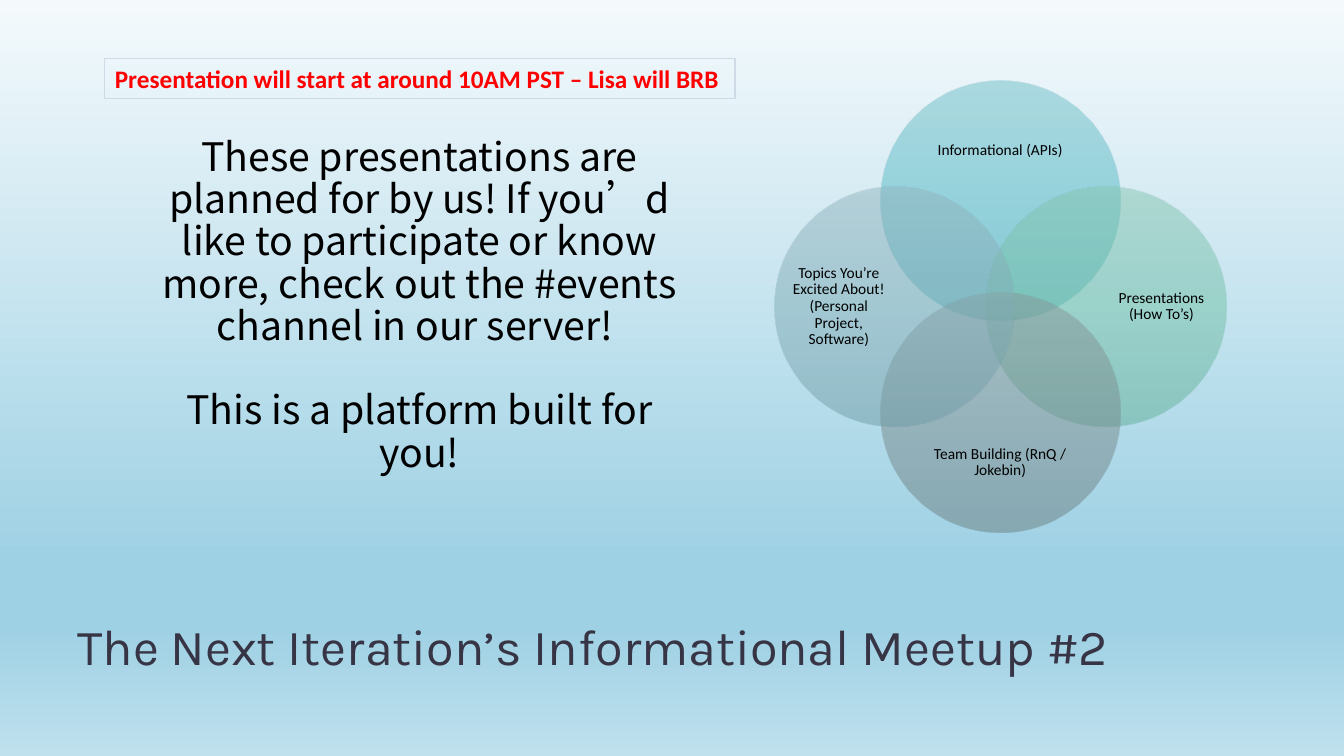
import pptx
import pptx.util
import pptx.dml.color
import pptx.enum.shapes
import pptx.enum.text
import pptx.oxml
from pptx.oxml.ns import nsdecls

Inches, Pt = pptx.util.Inches, pptx.util.Pt
KIND = pptx.enum.shapes.MSO_SHAPE
ALIGN = pptx.enum.text.PP_ALIGN
ANCHOR = pptx.enum.text.MSO_ANCHOR
FIT = pptx.enum.text.MSO_AUTO_SIZE

TITLE = "The Next Iteration’s Informational Meetup #2"
BANNER = "Presentation will start at around 10AM PST – Lisa will BRB"
BODY = [
    "These presentations are planned for by us! If you’d like to participate "
    "or know more, check out the #events channel in our server! ",
    "This is a platform built for you!",
]
SKY = [(0, "F4FAFC"), (74, "9FD1E4"), (83, "9FD1E4"), (100, "BFE0ED")]

# label, direction from the centre (x, y), gradient colours
CIRCLES = [
    ("Informational (APIs)", (0, -1), ("6FBEC7", "53BAC5", "44AAB5")),
    ("Presentations (How To’s)", (1, 0), ("86C5B1", "71C1A8", "61AF97")),
    ("Team Building (RnQ / Jokebin)", (0, 1), ("89999A", "798D8F", "6A7E80")),
    ("Topics You’re Excited About! (Personal Project, Software)", (-1, 0),
     ("92B5BE", "82AEB8", "709CA7")),
]
MID_X, MID_Y = 9.92, 3.04
SIZE, STEP = 2.38, 1.05
REACH_X, REACH_Y = 1.6, 1.55    # from the diagram's centre to a label's


def color(code):
    return pptx.dml.color.RGBColor.from_string(code)


def blend(shape, stops, alpha=100):
    """Fill a shape with a top-to-bottom gradient."""
    shape.fill.background()
    rows = "".join(
        f'<a:gs pos="{pos * 1000}"><a:srgbClr val="{code}">'
        f'<a:alpha val="{alpha * 1000}"/></a:srgbClr></a:gs>'
        for pos, code in stops)
    grad = pptx.oxml.parse_xml(
        f'<a:gradFill {nsdecls("a")} rotWithShape="1"><a:gsLst>{rows}</a:gsLst>'
        '<a:lin ang="5400000" scaled="0"/></a:gradFill>')
    props = shape.fill._xPr
    props.replace(props.find(pptx.oxml.ns.qn("a:noFill")), grad)


def add_form(slide, kind, box):
    shape = slide.shapes.add_shape(kind, *map(Inches, box))
    shape.shadow.inherit = False
    shape.line.fill.background()
    return shape


def write(shape, lines, font, size, code, align=ALIGN.CENTER, space=1.0,
          anchor=ANCHOR.MIDDLE, inset=None, wrap=True, bold=False, gap=0):
    frame = shape.text_frame
    frame.word_wrap = wrap
    frame.vertical_anchor = anchor
    if inset is not None:
        frame.margin_left = frame.margin_right = Inches(inset)
        frame.margin_top = frame.margin_bottom = Inches(inset)
    frame.text = "\n".join(lines)
    for num, para in enumerate(frame.paragraphs):
        para.alignment = align
        para.line_spacing = space
        para.space_before = Pt(gap if num else 0)
        for run in para.runs:
            run.font.name = font
            run.font.size = Pt(size)
            run.font.bold = bold
            run.font.color.rgb = color(code)
            east = pptx.oxml.parse_xml(
                f'<a:ea {nsdecls("a")} typeface="{font}"/>')
            run.font._rPr.find(pptx.oxml.ns.qn("a:latin")).addnext(east)


def add_text(slide, box, lines, *args, **opts):
    write(slide.shapes.add_textbox(*map(Inches, box)), lines, *args, **opts)


def main():
    deck = pptx.Presentation()
    deck.slide_width, deck.slide_height = Inches(13.33), Inches(7.5)
    slide = deck.slides.add_slide(deck.slide_layouts[6])

    blend(add_form(slide, KIND.RECTANGLE, (0, 0, 13.33, 7.5)), SKY)
    add_text(slide, (0.67, 5.58, 12, 1.17), [TITLE], "Karla", 36, "373545",
             align=ALIGN.LEFT, space=0.8, anchor=ANCHOR.BOTTOM)
    add_text(slide, (1.41, 0.75, 5.5, 4.58), BODY, "Noto Sans CJK SC", 28,
             "000000", space=0.9, gap=30)

    for label, (dx, dy), codes in CIRCLES:
        left = MID_X + dx * STEP - SIZE / 2
        top = MID_Y + dy * STEP - SIZE / 2
        disc = add_form(slide, KIND.OVAL, (left, top, SIZE, SIZE))
        blend(disc, zip((0, 50, 100), codes), alpha=50)

        wide, high = (0.92, 1.83) if dx else (1.83, 0.76)
        left = MID_X + dx * REACH_X - wide / 2
        top = MID_Y + dy * REACH_Y - high / 2
        add_text(slide, (left, top, wide, high), [label], "Calibri", 11,
                 "000000", space=0.9, inset=0)

    note = add_form(slide, KIND.RECTANGLE, (1.04, 0.58, 6.25, 0.4))
    note.fill.background()
    note.line.color.rgb = color("CEDBE6")
    note.line.width = Pt(0.75)
    write(note, [BANNER], "Calibri", 18, "FF0000", align=ALIGN.LEFT,
          wrap=False, bold=True)
    note.text_frame.auto_size = FIT.SHAPE_TO_FIT_TEXT

    deck.save("out.pptx")


if __name__ == "__main__":
    main()
